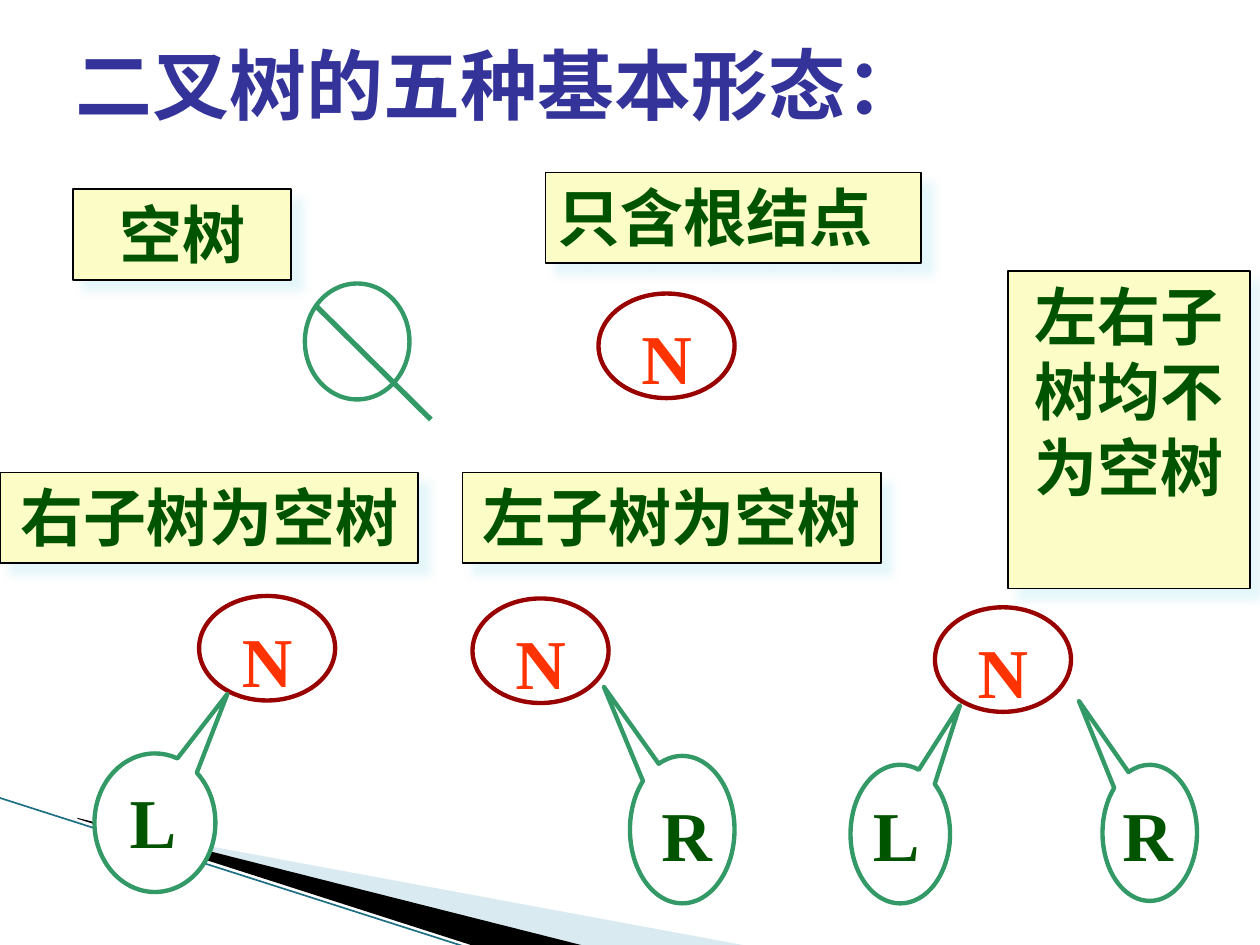
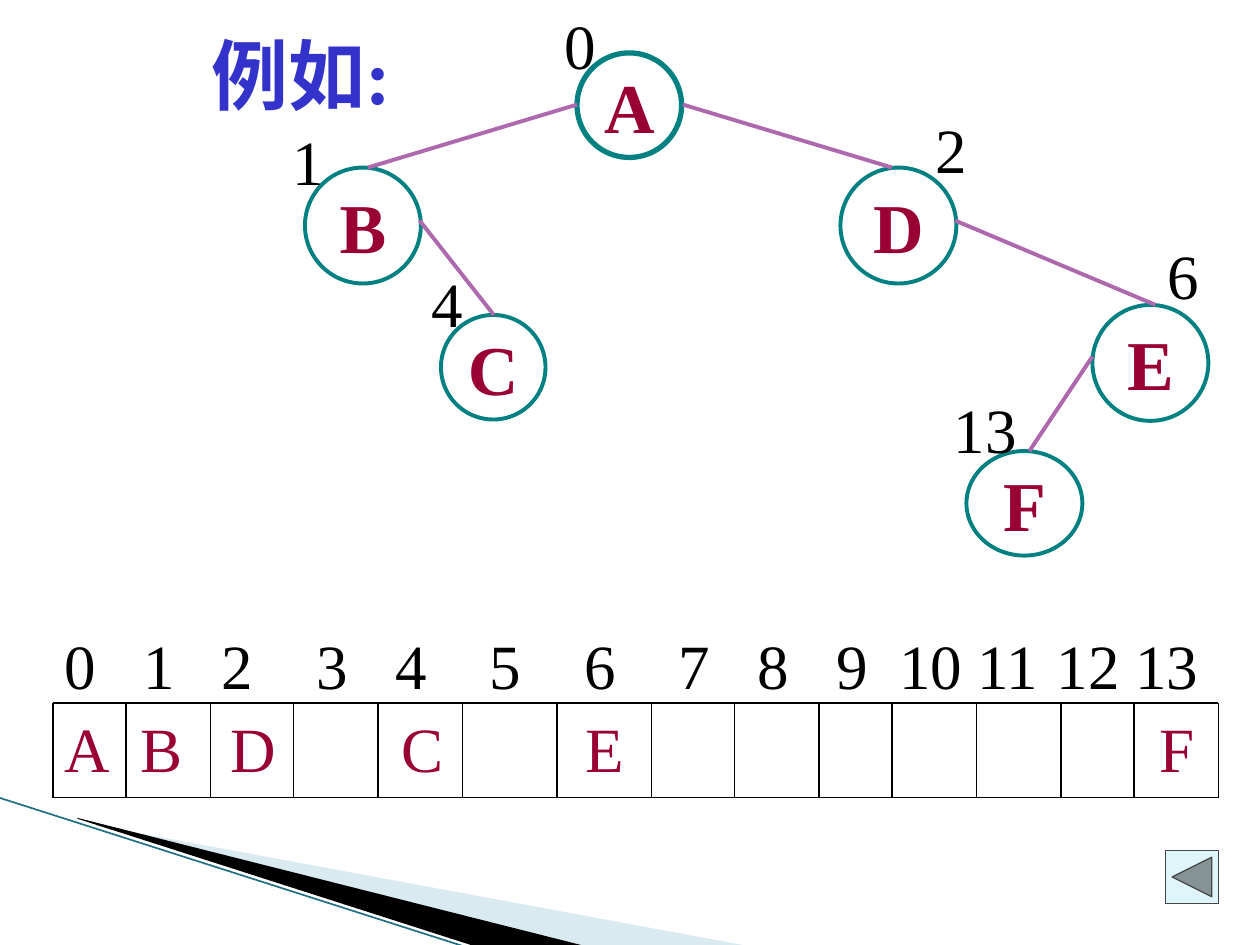
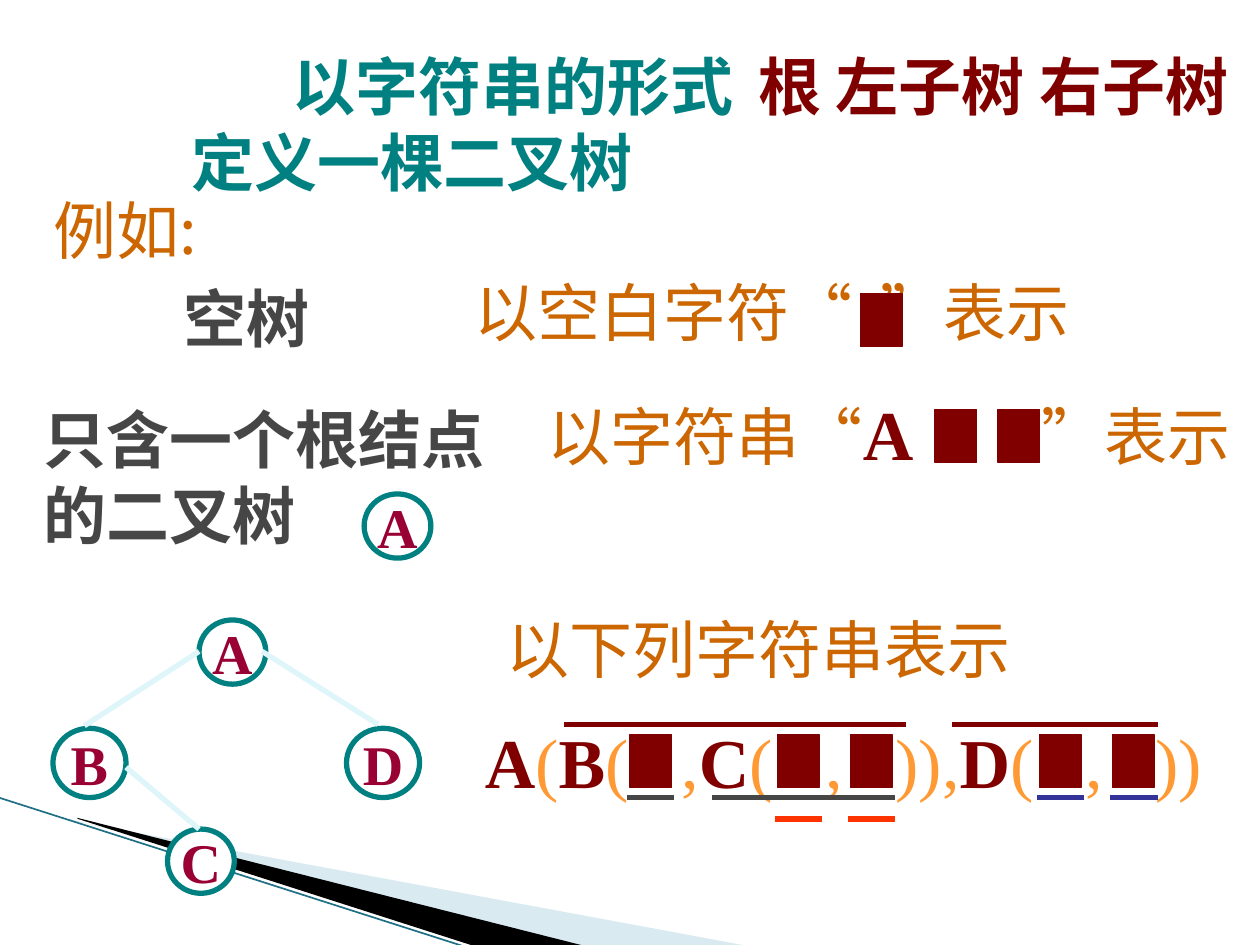
from itertools import groupby

from lxml.etree import SubElement
from pptx import Presentation
from pptx.dml.color import RGBColor
from pptx.enum.shapes import MSO_CONNECTOR, MSO_SHAPE
from pptx.enum.text import MSO_ANCHOR, MSO_AUTO_SIZE, PP_ALIGN
from pptx.oxml.ns import qn
from pptx.util import Inches, Pt

SERIF, MONO, CJK = "Times New Roman", "Noto Sans Mono", "Noto Sans CJK SC"
COLORS = {
    "white": "FFFFFF", "black": "000000", "sky": "A0CBDC", "ribbon": "1F6F85",
    "navy": "333399", "blue": "3333CC", "teal": "008080", "sea": "339966",
    "ruby": "990000", "fire": "FF3300", "forest": "005400", "cream": "FCFDC6",
    "ice": "DEF5FA", "wine": "990033", "mauve": "AE68AE", "gray": "464646",
    "maroon": "800000", "amber": "CC6600", "orange": "FF9933",
}

# Slide 1: the five basic forms
FORM_BOXES = [
    ("空树", (0.58, 1.5, 1.73, 0.72)),
    ("只含根结点", (4.33, 1.37, 2.98, 0.72)),
    ("右子树为空树", (0, 3.75, 3.32, 0.72)),
    ("左子树为空树", (3.67, 3.75, 3.32, 0.72)),
    ("左右子树均不为空树", (8, 2.15, 1.92, 2.52)),
]
ROOTS = [(4.75, 2.33), (1.58, 4.73), (3.75, 4.75), (7.42, 4.82)]
LEFT_TAIL, RIGHT_TAIL = (0.6, -0.93), (-0.75, -0.97)
SUBTREES = [
    ("L", LEFT_TAIL, (0.75, 5.98, 0.96, 1.1), (0.93, 6.13, 0.57, 0.77)),
    ("R", RIGHT_TAIL, (5, 6, 0.83, 1.17), (5.15, 6.23, 0.6, 0.77)),
    ("L", LEFT_TAIL, (6.75, 6.07, 0.79, 1.1), (6.83, 6.23, 0.57, 0.77)),
    ("R", RIGHT_TAIL, (8.75, 6.07, 0.75, 1.08), (8.81, 6.23, 0.6, 0.77)),
]

# Slide 2: tree stored in an array
ARRAY_NODES = {
    "A": (4.58, 0.42, 0.83, 0.83), "B": (2.42, 1.33, 0.92, 0.92),
    "C": (3.5, 2.5, 0.83, 0.83), "D": (6.67, 1.33, 0.92, 0.92),
    "E": (8.67, 2.42, 0.92, 0.92), "F": (7.67, 3.58, 0.92, 0.83),
}
ARRAY_EDGES = [
    ((4.58, 0.83), (2.92, 1.33)), ((3.33, 1.75), (3.92, 2.5)),
    ((5.42, 0.83), (7.08, 1.33)), ((7.58, 1.75), (9.17, 2.42)),
    ((8.67, 2.83), (8.17, 3.58)),
]
NODE_INDEXES = {
    1: (2.22, 0.92), 4: (3.33, 2.05), 0: (4.38, 0),
    13: (7.47, 3.05), 2: (7.33, 0.83), 6: (9.17, 1.83),
}
SLOT_EDGES = [0.42, 1, 1.67, 2.33, 3, 3.67, 4.42, 5.17, 5.83, 6.5, 7.08, 7.75, 8.42, 9, 9.67]
SLOT_TOP, SLOT_BOTTOM = 5.58, 6.33
# Each row: top, colour, and its entries with their distance from the left
ARRAY_ROWS = [
    (SLOT_TOP, "wine",
     {"A": 0.08, "B": 0.69, "D": 1.4, "C": 2.76, "E": 4.22, "F": 8.77}),
    (4.92, "black",
     {"0": 0.08, "1": 0.71, "2": 1.33, "3": 2.08, "4": 2.71, "5": 3.46, "6": 4.21,
      "7": 4.96, "8": 5.58, "9": 6.21, "10": 6.71, "11": 7.33, "12": 7.96, "13": 8.58}),
]

# Slide 3: tree written as a string
STRING_NODES = {
    "A": (1.58, 4.92, 0.53, 0.51), "B": (0.42, 5.78, 0.58, 0.55),
    "C": (1.33, 6.58, 0.53, 0.51), "D": (2.75, 5.78, 0.58, 0.55),
}
STRING_EDGES = [
    ((1.58, 5.17), (0.67, 5.76)), ((2.08, 5.17), (3, 5.75)), ((1, 6.09), (1.58, 6.58)),
]
SINGLE_NODE = {"A": (2.89, 3.92, 0.53, 0.51)}
TREE_STRING = "A(B(\t,C(\t,\t)),D(\t,\t))"
TREE_TABS = [1.56, 2.7, 3.26, 4.77, 5.32]
AMBER_CJK = {"color": "amber", "name": CJK}
AMBER_SERIF = {"color": "amber"}
EXPLANATIONS = [
    ((3.67, 2, 5.5, 0.82), [3.22],
     [("以空白字符", AMBER_CJK), ("“\t”", AMBER_SERIF), ("表示", AMBER_CJK)]),
    ((4.25, 2.92, 6.08, 0.9), [3.92],
     [("以字符串", AMBER_CJK), ("“", AMBER_SERIF),
      ("A\t", {"color": "maroon", "size": 40, "bold": True}),
      ("”", AMBER_SERIF), ("表示", AMBER_CJK)]),
    ((3.92, 4.68, 6.08, 0.82), [], [("以下列字符串表示", AMBER_CJK)]),
]
CASES = [("空树", (1.36, 2.17, 1.48, 0.7)),
         ("只含一个根结点的二叉树", (0.25, 3.13, 3.98, 1.3))]
BLANKS = [(x, 5.83) for x in (5, 6.17, 6.75, 8.25, 8.83)] + [(7.42, 3.25), (7.92, 3.25), (6.83, 2.33)]
SUBSTRING_BARS = [
    ("maroon", 5.75, [(4.5, 7.17), (7.58, 9.17)]),
    ("gray", 6.33, [(5, 5.33), (5.67, 7.08)]),
    ("navy", 6.33, [(8.25, 8.58), (8.83, 9.17)]),
    ("fire", 6.5, [(6.17, 6.5), (6.75, 7.08)]),
]


def rgb(color):
    return RGBColor.from_string(COLORS[color])


def inches(lengths):
    return [Inches(length) for length in lengths]


def style(font, size=36, color="black", bold=False, name=SERIF):
    font.size, font.bold, font.name = Pt(size), bold, name
    font.color.rgb = rgb(color)
    SubElement(font._rPr, qn("a:ea")).set("typeface", CJK)


def write(paragraph, text, align=PP_ALIGN.LEFT, tabs=(), spacing=None, **look):
    """Fill a paragraph with one string, or with (string, look) runs."""
    paragraph.alignment = align
    if spacing:
        paragraph.line_spacing = spacing
    if tabs:
        stops = SubElement(paragraph._p.get_or_add_pPr(), qn("a:tabLst"))
        for stop in tabs:
            SubElement(stops, qn("a:tab"), pos=str(Inches(stop)), algn="l")
    if isinstance(text, str):
        paragraph.add_run().text = text
        style(paragraph.font, **look)
        return
    for words, run_look in text:
        run = paragraph.add_run()
        run.text = words
        style(run.font, **run_look)


def add_text(slide, box, text, wrap=False, **look):
    frame = slide.shapes.add_textbox(*inches(box)).text_frame
    frame.word_wrap = wrap
    write(frame.paragraphs[0], text, **look)


def add_outlined(slide, kind, box, fill, line, width):
    shape = slide.shapes.add_shape(kind, *inches(box))
    shape.shadow.inherit = False
    shape.fill.solid()
    shape.fill.fore_color.rgb = rgb(fill)
    shape.line.color.rgb = rgb(line)
    shape.line.width = Pt(width)
    shape.text_frame.vertical_anchor = MSO_ANCHOR.TOP
    return shape


def add_line(slide, start, end, color, width, cap="flat"):
    line = slide.shapes.add_connector(MSO_CONNECTOR.STRAIGHT, *inches((*start, *end)))
    line.line.color.rgb = rgb(color)
    line.line.width = Pt(width)
    properties = line._element.spPr
    properties.find(qn("a:ln")).set("cap", cap)
    SubElement(properties, qn("a:effectLst"))


def add_wedge(slide, points, color, opacity=100):
    start, *rest = [tuple(inches(point)) for point in points]
    builder = slide.shapes.build_freeform(*start)
    builder.add_line_segments(rest)
    wedge = builder.convert_to_shape()
    wedge.shadow.inherit = False
    wedge.line.fill.background()
    wedge.fill.solid()
    wedge.fill.fore_color.rgb = rgb(color)
    tint = wedge._element.spPr.find(qn("a:solidFill"))[0]
    SubElement(tint, qn("a:alpha"), val=str(opacity * 1000))


def add_slide(deck, title_box):
    """Add a slide with the corner ribbon; return it with its title frame."""
    slide = deck.slides.add_slide(deck.slide_layouts[5])
    add_wedge(slide, [(0.55, 6.51), (5.95, 7.51), (4.56, 7.51), (0.55, 6.5)], "sky", 40)
    add_wedge(slide, [(0.61, 6.49), (4.65, 7.51), (3.8, 7.52), (0.62, 6.5)], "black")
    add_line(slide, (-0.01, 6.33), (3.71, 7.52), "ribbon", 0.95)
    title = slide.shapes.title
    title.left, title.top, title.width, title.height = inches(title_box)
    frame = title.text_frame
    frame.auto_size = MSO_AUTO_SIZE.NONE
    frame.vertical_anchor = MSO_ANCHOR.TOP
    frame.word_wrap = True
    frame.margin_right = 0
    return slide, frame


def add_shadow(shape):
    effects = shape._element.spPr.find(qn("a:effectLst"))
    shadow = SubElement(effects, qn("a:outerShdw"), blurRad=str(Pt(5)), dist=str(Pt(8.5)),
                        dir=str(45 * 60000), algn="ctr", rotWithShape="0")
    tint = SubElement(shadow, qn("a:srgbClr"), val=COLORS["ice"])
    SubElement(tint, qn("a:alpha"), val="75000")


def add_nodes(slide, nodes, size, widths):
    for letter, box in nodes.items():
        width = widths.get(letter, widths["other"])
        frame = add_outlined(slide, MSO_SHAPE.OVAL, box, "white", "teal", width).text_frame
        frame.word_wrap = False
        frame.vertical_anchor = MSO_ANCHOR.MIDDLE
        write(frame.paragraphs[0], letter, PP_ALIGN.CENTER, size=size, color="wine", bold=True)


def add_edges(slide, edges, color, width):
    for parent, child in edges:
        add_line(slide, parent, child, color, width)


def add_array(slide):
    """Draw the array slots with their letters and the indexes above."""
    for y in (SLOT_TOP, SLOT_BOTTOM):
        add_line(slide, (SLOT_EDGES[0], y), (SLOT_EDGES[-1], y), "black", 1)
    for x in SLOT_EDGES:
        add_line(slide, (x, SLOT_TOP), (x, SLOT_BOTTOM), "black", 1)
    for top, color, entries in ARRAY_ROWS:
        row = "".join("\t" + entry for entry in entries)
        add_text(slide, (0.33, top, 9.28, 0.7), row, wrap=True,
                 tabs=entries.values(), color=color)


def build_forms(deck):
    slide, title = add_slide(deck, (0.5, 0.25, 6.98, 0.83))
    write(title.paragraphs[0], "二叉树的五种基本形态：", size=44, color="navy", bold=True)
    add_outlined(slide, MSO_SHAPE.OVAL, (2.42, 2.25, 0.83, 0.92), "white", "sea", 2.5)
    add_line(slide, (2.5, 2.42), (3.42, 3.33), "sea", 3)
    for corner in ROOTS:
        root = add_outlined(slide, MSO_SHAPE.OVAL, (*corner, 1.08, 0.83), "white", "ruby", 2.5)
        write(root.text_frame.paragraphs[0], "N", PP_ALIGN.CENTER, size=40, color="fire", bold=True)
    for letter, tail, box, letter_box in SUBTREES:
        callout = add_outlined(slide, MSO_SHAPE.OVAL_CALLOUT, box, "white", "sea", 2.5)
        callout.adjustments[0], callout.adjustments[1] = tail
        add_text(slide, letter_box, letter, size=40, color="forest", bold=True)
    for form, box in FORM_BOXES:
        label = add_outlined(slide, MSO_SHAPE.RECTANGLE, box, "cream", "black", 1)
        add_shadow(label)
        align = PP_ALIGN.LEFT if form == "只含根结点" else PP_ALIGN.CENTER
        write(label.text_frame.paragraphs[0], form, align, color="forest", bold=True, name=MONO)


def build_array(deck):
    slide, title = add_slide(deck, (1.58, 0.17, 1.63, 0.83))
    write(title.paragraphs[0], "例如:", size=44, color="blue", bold=True)
    add_nodes(slide, ARRAY_NODES, 40, {"A": 3, "other": 2.25})
    add_array(slide)
    add_edges(slide, ARRAY_EDGES, "mauve", 2.25)
    for index, corner in NODE_INDEXES.items():
        add_text(slide, (*corner, 0.2 + 0.25 * len(str(index)), 0.7), str(index))
    add_outlined(slide, MSO_SHAPE.ACTION_BUTTON_BACK_OR_PREVIOUS,
                 (9.25, 6.75, 0.42, 0.42), "ice", "gray", 0.75)


def build_string(deck):
    slide, title = add_slide(deck, (1.42, 0.33, 8.58, 1.3))
    opening = title.paragraphs[0]
    write(opening, [("以字符串的形式\t", {"color": "teal", "bold": True}),
                    ("根 左子树 右子树", {"color": "maroon", "bold": True})], tabs=[4.54])
    opening._p.get_or_add_pPr().set("indent", str(Inches(0.8)))
    write(title.add_paragraph(), "定义一棵二叉树", color="teal", bold=True)
    add_text(slide, (0.33, 1.47, 1.45, 0.7), "例如:", **AMBER_CJK)
    add_nodes(slide, STRING_NODES, 32, {"other": 3})
    add_edges(slide, STRING_EDGES, "ice", 3)
    for box, tabs, runs in EXPLANATIONS:
        add_text(slide, box, runs, wrap=True, tabs=tabs, spacing=1.2)
    symbols = [("".join(group), {"size": 40, "color": "maroon" if letters else "orange",
                                 "bold": letters})
               for letters, group in groupby(TREE_STRING, str.isalpha)]
    add_text(slide, (3.75, 5.52, 6.67, 0.9), symbols, wrap=True, tabs=TREE_TABS, spacing=1.2)
    for corner in BLANKS:
        add_outlined(slide, MSO_SHAPE.RECTANGLE, (*corner, 0.33, 0.42), "maroon", "maroon", 1)
    for color, y, spans in SUBSTRING_BARS:
        for start, end in spans:
            add_line(slide, (start, y), (end, y), color, 3, cap="sq")
    for case, box in CASES:
        add_text(slide, box, case, wrap=True, color="gray", bold=True)
    add_nodes(slide, SINGLE_NODE, 32, {"other": 3})


def main():
    deck = Presentation()
    deck.slide_width, deck.slide_height = inches((10, 7.5))
    build_forms(deck)
    build_array(deck)
    build_string(deck)
    deck.save("out.pptx")


if __name__ == "__main__":
    main()
